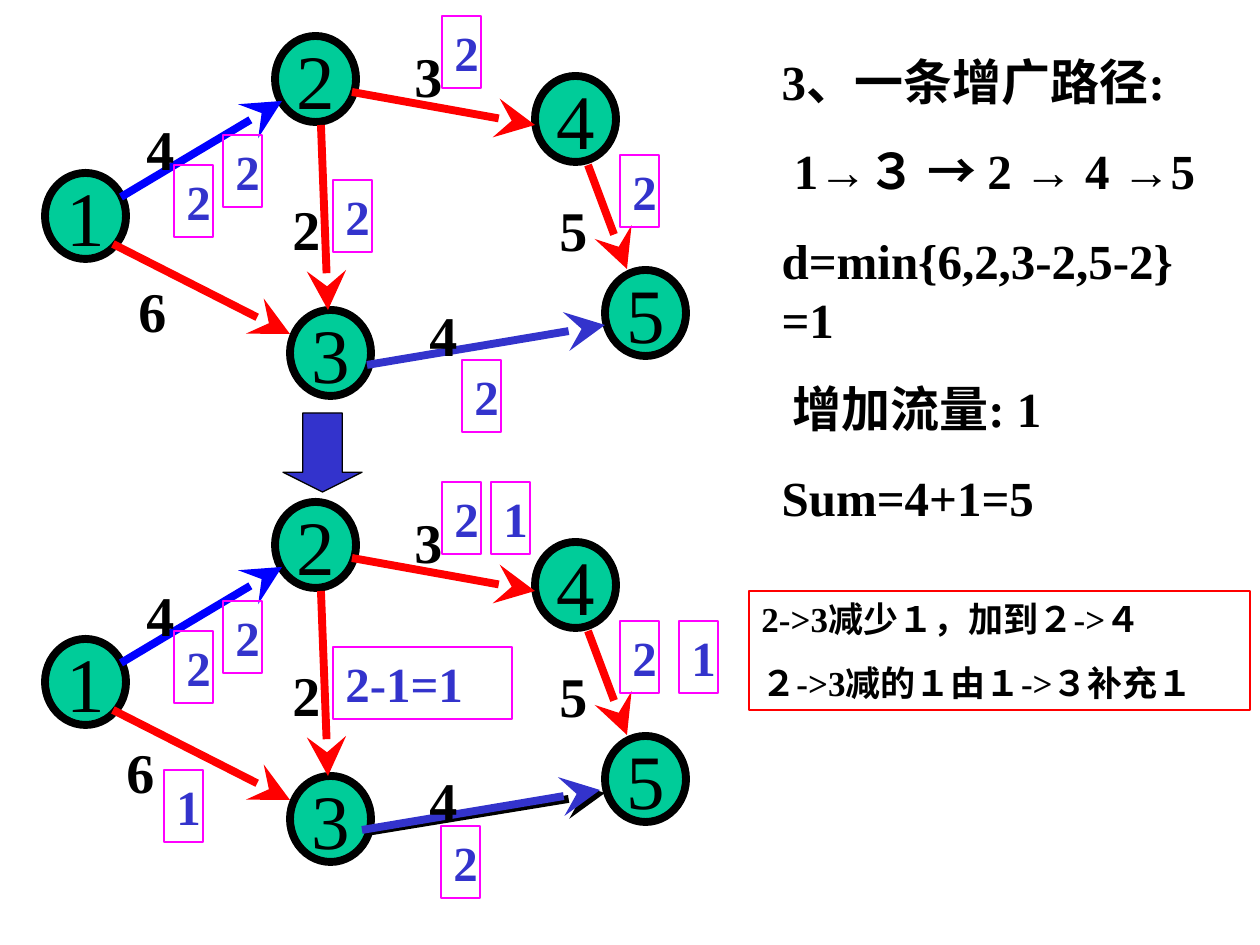
import pptx
import pptx.util
import pptx.dml.color
import pptx.enum.shapes
import pptx.enum.text
import pptx.oxml.ns
from lxml import etree

PX = 7257  # EMU per px, 126 px to the inch
FONT = "Times New Roman"
rgb = pptx.dml.color.RGBColor.from_string
qn = pptx.oxml.ns.qn
SHAPE = pptx.enum.shapes.MSO_SHAPE
ANCHOR = pptx.enum.text.MSO_ANCHOR
ALIGN = pptx.enum.text.PP_ALIGN


def write(tf, paragraphs, size, color="000000", bold=True, before=0, align=ALIGN.LEFT):
    """Fill a text frame; each paragraph is a list of (text, font) runs."""
    for i, runs in enumerate(paragraphs):
        p = tf.paragraphs[0] if i == 0 else tf.add_paragraph()
        p.alignment = align
        p.space_before = pptx.util.Pt(before)
        for text, font in runs:
            r = p.add_run()
            r.text = text
            r.font.name = font
            r.font.size = pptx.util.Pt(size)
            r.font.bold = bold
            r.font.color.rgb = rgb(color)


def add_shape(kind, x, y, w, h, fill=None, line="000000", width=0.75):
    sp = s.shapes.add_shape(kind, x * PX, y * PX, w * PX, h * PX)
    sp.shadow.inherit = False
    if fill:
        sp.fill.solid()
        sp.fill.fore_color.rgb = rgb(fill)
    else:
        sp.fill.background()
    sp.line.color.rgb = rgb(line)
    sp.line.width = pptx.util.Pt(width)
    sp.text_frame.word_wrap = True
    sp.text_frame.vertical_anchor = ANCHOR.TOP
    return sp


prs = pptx.Presentation()
prs.slide_width = pptx.util.Inches(10)
prs.slide_height = pptx.util.Inches(7.5)
s = prs.slides.add_slide(prs.slide_layouts[1])
title, body = s.placeholders
title.element.getparent().remove(title.element)

# Parts shared by the graph before (top) and after (bottom) the augmentation
PANEL_STEP = 466
nodes = [("1", 45, 173), ("2", 275, 36), ("4", 535, 76), ("3", 290, 310), ("5", 605, 270)]
edges = [
    (121, 197, 282, 101, "0000FF"),
    (113, 244, 290, 334, "FF0000"),
    (352, 92, 535, 125, "FF0000"),
    (588, 165, 627, 269, "FF0000"),
    (321, 125, 328, 310, "FF0000"),
]
capacities = [("4", 134, 108), ("2", 280, 188), ("3", 402, 35), ("4", 417, 294), ("5", 547, 189)]
flows = [("2", 174, 165, 39), ("2", 223, 135, 39), ("2", 442, 16, 39), ("2", 620, 155, 39)]

# Parts that differ: edges 3-5, capacity of 1-3, flows
panels = [
    (
        [(367, 365, 605, 325, "3333CC")],
        [("6", 126, 270)],
        [("2", 333, 180, 39), ("2", 462, 360, 39)],
    ),
    (
        [(367, 366, 605, 327, "000000"), (362, 364, 600, 324, "3333CC")],
        [("6", 114, 265)],
        [("2-1=1", 333, 181, 179), ("2", 441, 360, 39), ("1", 491, 16, 39),
         ("1", 679, 155, 39), ("1", 164, 304, 39)],
    ),
]

for n, (more_edges, more_capacities, more_flows) in enumerate(panels):
    dy = n * PANEL_STEP

    # Nodes
    for name, x, y in nodes:
        sp = add_shape(SHAPE.OVAL, x, y + dy, 81, 86, fill="00CC99", width=4.5)
        sp.text_frame.word_wrap = False
        sp.text_frame.vertical_anchor = ANCHOR.MIDDLE
        write(sp.text_frame, [[(name, FONT)]], 44, bold=False, align=ALIGN.CENTER)

    # Directed edges
    for x1, y1, x2, y2, color in edges + more_edges:
        c = s.shapes.add_connector(
            pptx.enum.shapes.MSO_CONNECTOR.STRAIGHT,
            x1 * PX, (y1 + dy) * PX, x2 * PX, (y2 + dy) * PX)
        c.line.color.rgb = rgb(color)
        c.line.width = pptx.util.Pt(4.5)
        etree.SubElement(c.line._get_or_add_ln(), qn("a:tailEnd"),
                         type="stealth", w="lg", len="lg")
        etree.SubElement(c._element.spPr, qn("a:effectLst"))

    # Capacities
    for text, x, y in capacities + more_capacities:
        tb = s.shapes.add_textbox(x * PX, (y + dy) * PX, 46 * PX, 81 * PX)
        tb.text_frame.word_wrap = True
        write(tb.text_frame, [[(text, FONT)]], 32, before=20)

    # Flows
    for text, x, y, w in flows + more_flows:
        sp = add_shape(SHAPE.RECTANGLE, x, y + dy, w, 72, line="FF00FF")
        write(sp.text_frame, [[(text, FONT)]], 28, color="3333CC", before=17.5)

# Arrow from the first graph to the second
arrow = add_shape(SHAPE.DOWN_ARROW, 283, 413, 79, 79, fill="3333CC")
arrow.adjustments[0] = 0.5
arrow.adjustments[1] = 0.25

# Calculation steps
body.left, body.top, body.width, body.height = 769 * PX, 45 * PX, 456 * PX, 547 * PX
tf = body.text_frame
tf.word_wrap = True
tf.auto_size = pptx.enum.text.MSO_AUTO_SIZE.NONE
write(tf, [
    [("3、一条增广路径:", FONT)],
    [(" 1", FONT), ("→", "Arial"), ("３ ", FONT), ("→ ", "Arial"), ("2 ", FONT),
     ("→", "Arial"), (" 4 ", FONT), ("→", "Arial"), ("5", FONT)],
    [("d=min{6,2,3-2,5-2} =1", FONT)],
    [(" 增加流量: 1", FONT)],
    [("Sum=4+1=5", FONT)],
], 28, before=17.5)
for p in tf.paragraphs:
    pPr = p._p.get_or_add_pPr()
    pPr.set("marL", "0")
    pPr.set("indent", "0")
    etree.SubElement(pPr, qn("a:buNone"))

# Explanation of the rerouted flow
sp = add_shape(SHAPE.RECTANGLE, 749, 591, 501, 119, line="FF0000")
write(sp.text_frame, [
    [("2->3减少１，加到２->４", FONT)],
    [("２->3减的１由１->３补充１", FONT)],
], 20, before=12.5)

prs.save("out.pptx")
